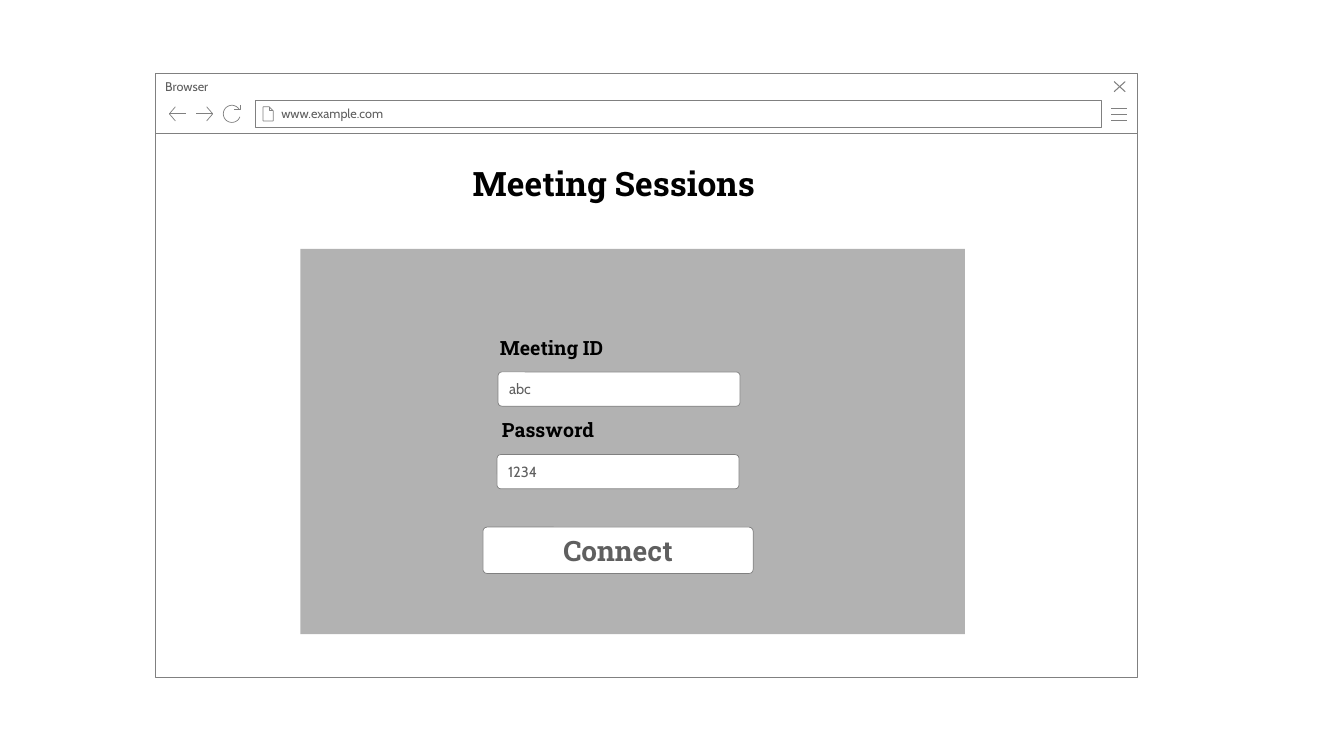
import math

from lxml import etree
from pptx import Presentation, util as u
from pptx.dml.color import RGBColor
from pptx.enum import shapes, text
from pptx.oxml import ns

HUES = {"paper": "FFFFFF", "line": "808080", "soft": "5F5F5F", "ink": "000000"}
BODY, HEAD = "Cabin", "Roboto Slab"
RECT = shapes.MSO_SHAPE.RECTANGLE
ROUND = shapes.MSO_SHAPE.ROUNDED_RECTANGLE


def hue(name):
    return RGBColor.from_string(HUES[name])


def stroke(shape, width=0.5):
    shape.line.color.rgb = hue("line")
    shape.line.width = u.Pt(width)


def box(parent, at, kind=RECT, radius=None):
    """Add a white box with a thin grey outline."""
    shape = parent.add_shape(kind, *map(u.Inches, at))
    shape.shadow.inherit = False
    shape.fill.solid()
    shape.fill.fore_color.rgb = hue("paper")
    stroke(shape)
    if radius is not None:
        shape.adjustments[0] = radius
    return shape


def write(shape, words, size, font=BODY, color="soft", bold=False, pad=(0.1, 0.05, 0.1, 0.05),
          anchor=text.MSO_ANCHOR.MIDDLE, align=text.PP_ALIGN.LEFT, wrap=True, grow=False):
    frame = shape.text_frame
    frame.word_wrap = wrap
    frame.vertical_anchor = anchor
    if grow:
        frame.auto_size = text.MSO_AUTO_SIZE.SHAPE_TO_FIT_TEXT
    (frame.margin_left, frame.margin_top,
     frame.margin_right, frame.margin_bottom) = map(u.Inches, pad)
    para = frame.paragraphs[0]
    para.alignment = align
    run = para.add_run()
    run.text = words
    run.font.name = font
    run.font.size = u.Pt(size)
    run.font.bold = bold
    run.font.color.rgb = hue(color)


def label(parent, at, words, size):
    shape = parent.add_textbox(*map(u.Inches, at))
    write(shape, words, size, HEAD, "ink", True,
          anchor=text.MSO_ANCHOR.TOP, wrap=False, grow=True)


def field(parent, at, words):
    shape = box(parent, at, ROUND, 0.112)
    write(shape, words, 10.5, pad=(0.1, 0.07, 0.1, 0.07), grow=True)


def icon(parent, *strokes, width=0.5):
    """Draw open strokes, each a list of points in inches, as one outline."""
    paths = [[(u.Inches(x), u.Inches(y)) for x, y in points] for points in strokes]
    pen = parent.build_freeform(*paths[0][0])
    for i, (start, *rest) in enumerate(paths):
        if i:
            pen.move_to(*start)
        pen.add_line_segments(rest, close=False)
    shape = pen.convert_to_shape()
    shape.shadow.inherit = False
    shape.fill.background()
    stroke(shape, width)


def arrow(parent, tip, tail):
    neck = tip + math.copysign(0.06, tail - tip)
    icon(parent, [(neck, 1.2), (tip, 1.13), (neck, 1.06)], [(tip, 1.13), (tail, 1.13)])


def reload(parent):
    turns = [math.radians(a) for a in range(20, 331, 10)]
    arc = [(2.3 + 0.085 * math.cos(a), 1.13 + 0.085 * math.sin(a)) for a in turns]
    icon(parent, [(2.38, 1.04), (2.38, 1.09), (2.32, 1.09)], arc)


def browser(parent):
    box(parent, (1.54, 1.32, 9.74, 5.4))
    bar = box(parent, (1.54, 0.73, 9.74, 0.59))
    write(bar, "Browser", 9, pad=(0.1, 0.05, 0.25, 0.05), anchor=text.MSO_ANCHOR.TOP)
    icon(parent, *[[(11.02, y), (11.18, y)] for y in (1.07, 1.13, 1.19)])
    icon(parent, [(11.16, 0.81), (11.05, 0.91)], [(11.05, 0.81), (11.16, 0.91)], width=0.75)
    url = box(parent, (2.53, 1, 8.39, 0.26))
    write(url, "www.example.com", 9, pad=(0.26, 0.05, 0.1, 0.05))
    icon(parent, [(2.67, 1.06), (2.67, 1.1), (2.71, 1.1)],
         [(2.61, 1.06), (2.61, 1.2), (2.71, 1.2), (2.71, 1.1), (2.67, 1.06), (2.61, 1.06)])
    arrow(parent, 1.68, 1.85)
    arrow(parent, 2.11, 1.94)
    reload(parent)


def panel(parent):
    shape = box(parent, (2.98, 2.47, 6.59, 3.82))
    shape.fill.fore_color.rgb = hue("line")
    shape.line.fill.background()
    color = shape.fill._xPr.find(".//" + ns.qn("a:srgbClr"))
    etree.SubElement(color, ns.qn("a:alpha")).set("val", "60000")


def main():
    deck = Presentation()
    deck.slide_width, deck.slide_height = u.Inches(13.33), u.Inches(7.5)
    page = deck.slides.add_slide(deck.slide_layouts[6]).shapes
    browser(page.add_group_shape().shapes)
    panel(page)
    button = box(page, (4.79, 5.23, 2.68, 0.46), ROUND, 0.088)
    write(button, "Connect", 20, HEAD, bold=True, align=text.PP_ALIGN.CENTER, grow=True)
    rows = [("Meeting ID", 4.86, 1.31, "abc", 4.94), ("Password", 4.88, 1.12, "1234", 4.93)]
    for i, (name, left, width, value, edge) in enumerate(rows):
        top = 3.28 + 0.82 * i
        label(page, (left, top, width, 0.34), name, 14)
        field(page, (edge, top + 0.41, 2.4, 0.34), value)
    label(page, (4.59, 1.57, 3.09, 0.5), "Meeting Sessions", 24)
    deck.save("out.pptx")


if __name__ == "__main__":
    main()
